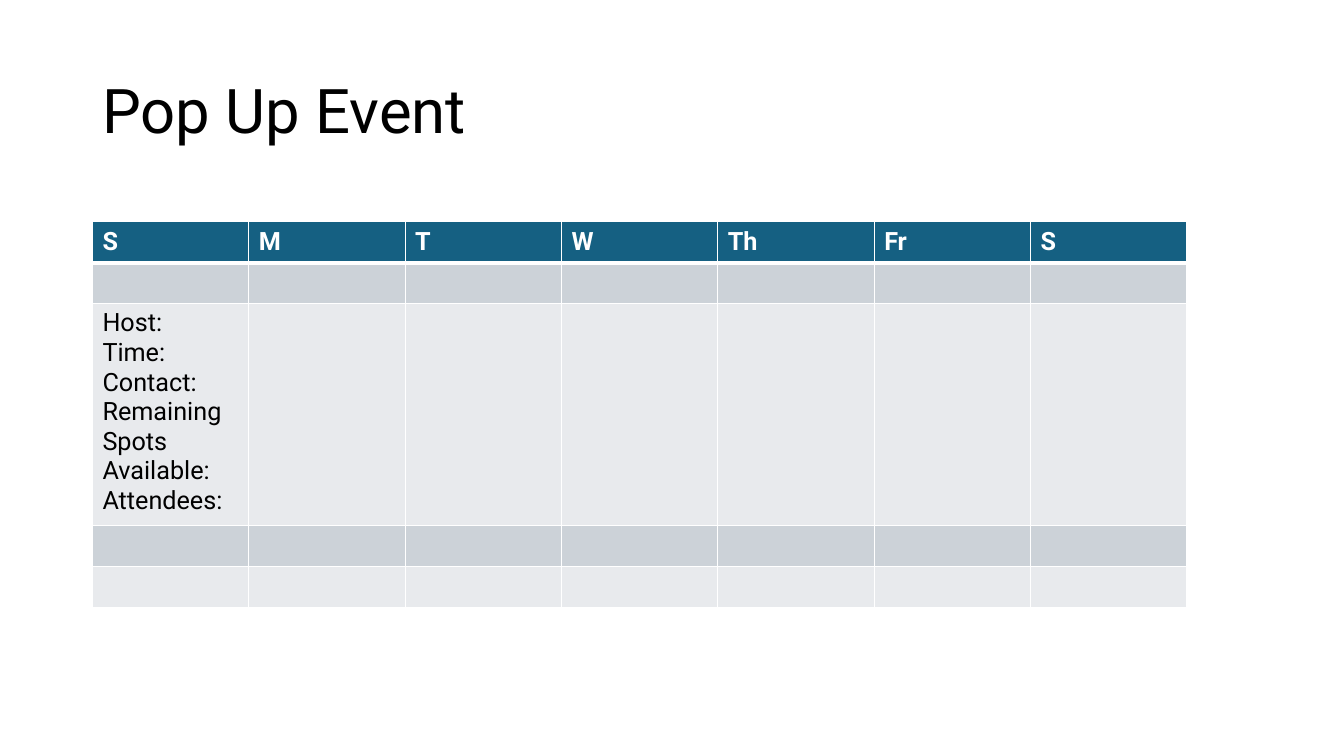
import pptx
import pptx.dml.color
import pptx.enum.text
import pptx.oxml
import pptx.oxml.ns
import pptx.util

Cm = pptx.util.Cm
Pt = pptx.util.Pt

DAYS = ["S", "M", "T", "W", "Th", "Fr", "S"]
EVENT_DETAILS = ["Host:", "Time:", "Contact:", "Remaining Spots Available:", "Attendees:"]
ROW_HEIGHTS = [1.03, 1.03, 5.51, 1.03, 1.03]
EVENT_ROW = 2


def color(hex_string):
    return pptx.dml.color.RGBColor.from_string(hex_string)


def write_text(paragraph, text, font="Roboto", size=18, fill="000000", bold=False):
    run = paragraph.add_run()
    run.text = text
    run.font.name = font
    run.font.size = Pt(size)
    run.font.color.rgb = color(fill)
    run.font.bold = bold


class CalendarSlide:
    header = "156082"
    bands = ["E8EAED", "CCD2D8"]
    border = "FFFFFF"

    def __init__(self, presentation):
        self.slide = presentation.slides.add_slide(presentation.slide_layouts[6])

    def add_title(self, text, left, top, width, height):
        frame = self.slide.shapes.add_textbox(Cm(left), Cm(top), Cm(width), Cm(height)).text_frame
        frame.word_wrap = True
        frame.vertical_anchor = pptx.enum.text.MSO_ANCHOR.MIDDLE
        frame.paragraphs[0].line_spacing = 0.9
        write_text(frame.paragraphs[0], text, size=44)

    def add_calendar(self, left, top, column_width):
        shape = self.slide.shapes.add_table(
            len(ROW_HEIGHTS), len(DAYS), Cm(left), Cm(top),
            Cm(column_width * len(DAYS)), Cm(sum(ROW_HEIGHTS)))
        table = shape.table
        for column in table.columns:
            column.width = Cm(column_width)
        for row_index, height in enumerate(ROW_HEIGHTS):
            table.rows[row_index].height = Cm(height)
            for cell in table.rows[row_index].cells:
                self.style_cell(cell, row_index)
        return table

    def style_cell(self, cell, row_index):
        # The line under the header is thicker than the rest
        widths = {"L": 1, "R": 1, "T": 3 if row_index == 1 else 1, "B": 3 if row_index == 0 else 1}
        properties = cell._tc.get_or_add_tcPr()
        for side, width in widths.items():
            properties.append(pptx.oxml.parse_xml(
                f'<a:ln{side} {pptx.oxml.ns.nsdecls("a")} w="{Pt(width)}"><a:solidFill>'
                f'<a:srgbClr val="{self.border}"/></a:solidFill></a:ln{side}>'))
        cell.fill.solid()
        cell.fill.fore_color.rgb = color(self.bands[row_index % 2] if row_index else self.header)
        cell.text_frame.paragraphs[0].font.size = Pt(18)


def main():
    presentation = pptx.Presentation()
    presentation.slide_width = Cm(33.87)
    presentation.slide_height = Cm(19.05)
    calendar = CalendarSlide(presentation)

    # Title
    calendar.add_title("Pop Up Event", 2.33, 1.01, 29.21, 3.68)

    # Week table
    table = calendar.add_calendar(2.33, 5.59, 3.94)
    for column_index, day in enumerate(DAYS):
        paragraph = table.cell(0, column_index).text_frame.paragraphs[0]
        write_text(paragraph, day, fill="FFFFFF", bold=True)

    # Details of the first event
    frame = table.cell(EVENT_ROW, 0).text_frame
    for index, detail in enumerate(EVENT_DETAILS):
        paragraph = frame.add_paragraph() if index else frame.paragraphs[0]
        write_text(paragraph, detail)

    presentation.save("out.pptx")


if __name__ == "__main__":
    main()
